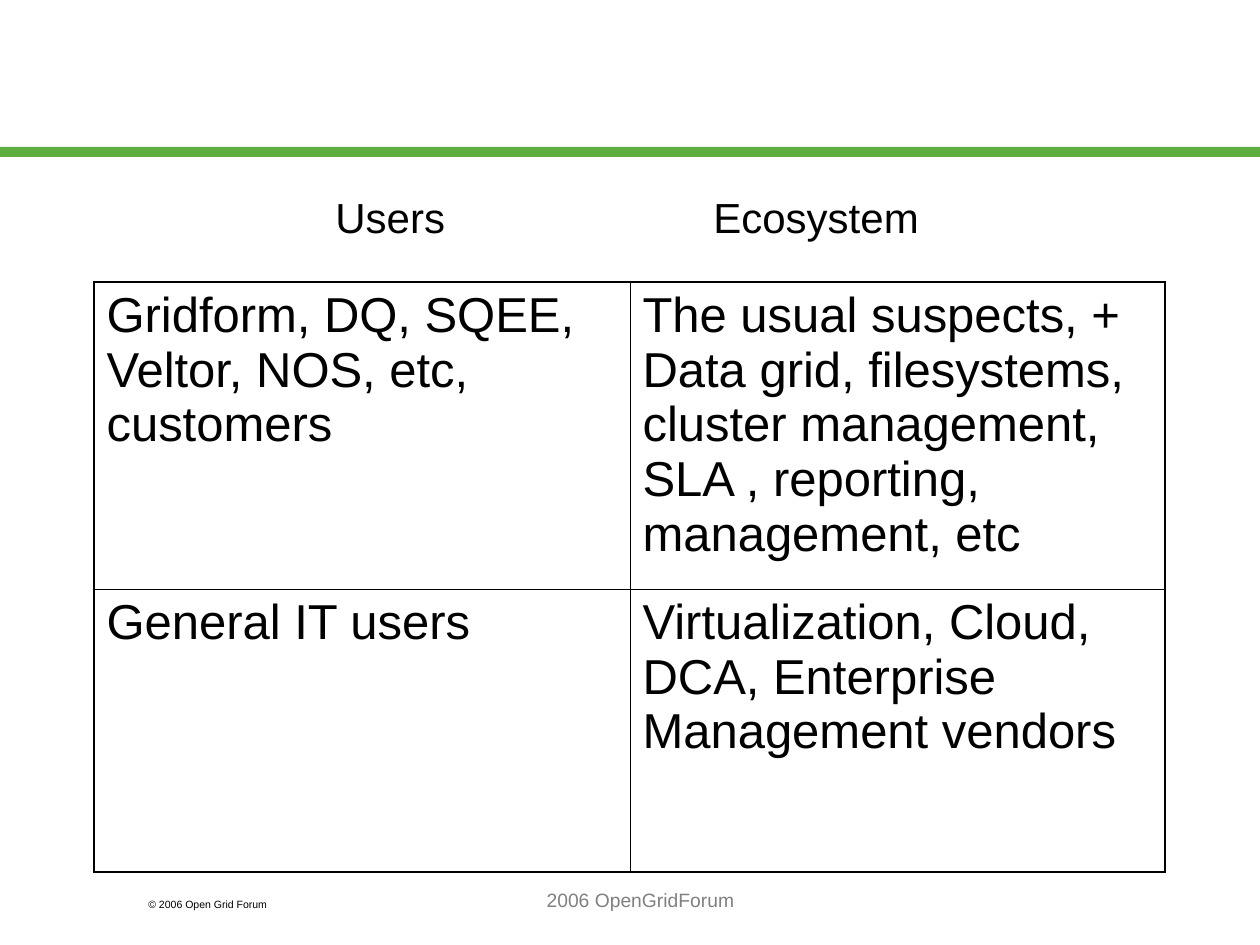
from dataclasses import dataclass

from lxml.etree import SubElement
from pptx import Presentation
from pptx.dml.color import RGBColor
from pptx.enum.shapes import MSO_SHAPE as Shape
from pptx.enum.text import PP_ALIGN as Align
from pptx.oxml import parse_xml
from pptx.oxml.ns import nsdecls, qn
from pptx.util import Emu, Pt

EMU_PER_PX = 914400 / 126
BLACK = "000000"
OUTER_LINE, INNER_LINE = 1.08, 0.45
ROW_HEIGHTS = (307, 283)
COLUMN_WIDTHS = (536, 535)
CELL_TEXTS = (
    ("Gridform, DQ, SQEE, Veltor, NOS, etc, customers",
     "The usual suspects, + Data grid, filesystems, cluster management, "
     "SLA , reporting, management, etc"),
    ("General IT users",
     "Virtualization, Cloud, DCA, Enterprise Management vendors"),
)


@dataclass(frozen=True)
class Label:
    text: str
    left: int
    top: int
    width: int
    height: int
    size: int
    color: str = BLACK
    align: Align = Align.LEFT
    tab: int = 0


LABELS = (
    Label("© 2006 Open Grid Forum", 136, 892, 189, 25, 6),
    Label("Users\tEcosystem", 323, 185, 609, 63, 24, tab=378),
    Label("2006 OpenGridForum", 273, 882, 735, 63, 11, "808080", Align.CENTER),
)


def px(length: int) -> Emu:
    return Emu(round(length * EMU_PER_PX))


def color(value: str) -> RGBColor:
    return RGBColor.from_string(value)


def style_text(para, size: int, font_color: str) -> None:
    for name, value in {"name": "Arial", "size": Pt(size), "bold": False}.items():
        setattr(para.font, name, value)
    para.font.color.rgb = color(font_color)


def draw_rule(page) -> None:
    rule = page.shapes.add_shape(Shape.RECTANGLE, 0, px(147), px(1260), px(10))
    rule.shadow.inherit = False
    rule.fill.solid()
    rule.fill.fore_color.rgb = color("5DAD41")
    rule.line.fill.background()


def draw_label(page, label: Label) -> None:
    box = page.shapes.add_textbox(
        px(label.left), px(label.top), px(label.width), px(label.height))
    box.text_frame.word_wrap = True
    para = box.text_frame.paragraphs[0]
    para.text = label.text
    para.alignment = label.align
    if label.tab:
        tabs = SubElement(para._p.get_or_add_pPr(), qn("a:tabLst"))
        SubElement(tabs, qn("a:tab"), pos=str(px(label.tab)), algn="l")
    style_text(para, label.size, label.color)


def set_borders(cell, widths: dict[str, float]) -> None:
    """Put the border lines ahead of the cell's fill, as the schema asks."""
    properties = cell._tc.get_or_add_tcPr()
    for index, (side, width) in enumerate(widths.items()):
        properties.insert(index, parse_xml(
            f'<a:ln{side} {nsdecls("a")} w="{Pt(width)}"><a:solidFill>'
            f'<a:srgbClr val="{BLACK}"/></a:solidFill></a:ln{side}>'))


def draw_table(page) -> None:
    frame = page.shapes.add_table(
        len(ROW_HEIGHTS), len(COLUMN_WIDTHS), px(94), px(282),
        px(sum(COLUMN_WIDTHS)), px(sum(ROW_HEIGHTS)))
    table = frame.table
    table.first_row = table.horz_banding = False
    for column, width in zip(table.columns, COLUMN_WIDTHS):
        column.width = px(width)
    for row, height in zip(table.rows, ROW_HEIGHTS):
        row.height = px(height)

    last_row, last_column = len(ROW_HEIGHTS) - 1, len(COLUMN_WIDTHS) - 1
    for row, texts in enumerate(CELL_TEXTS):
        for column, text in enumerate(texts):
            cell = table.cell(row, column)
            cell.fill.background()
            para = cell.text_frame.paragraphs[0]
            para.text = text
            style_text(para, 28, BLACK)
            outer = {"L": column == 0, "R": column == last_column,
                     "T": row == 0, "B": row == last_row}
            set_borders(cell, {side: OUTER_LINE if edge else INNER_LINE
                               for side, edge in outer.items()})


def main() -> None:
    deck = Presentation()
    deck.slide_width, deck.slide_height = px(1260), px(945)
    page = deck.slides.add_slide(deck.slide_layouts[6])
    draw_rule(page)
    draw_table(page)
    for label in LABELS:
        draw_label(page, label)
    deck.save("out.pptx")


if __name__ == "__main__":
    main()
